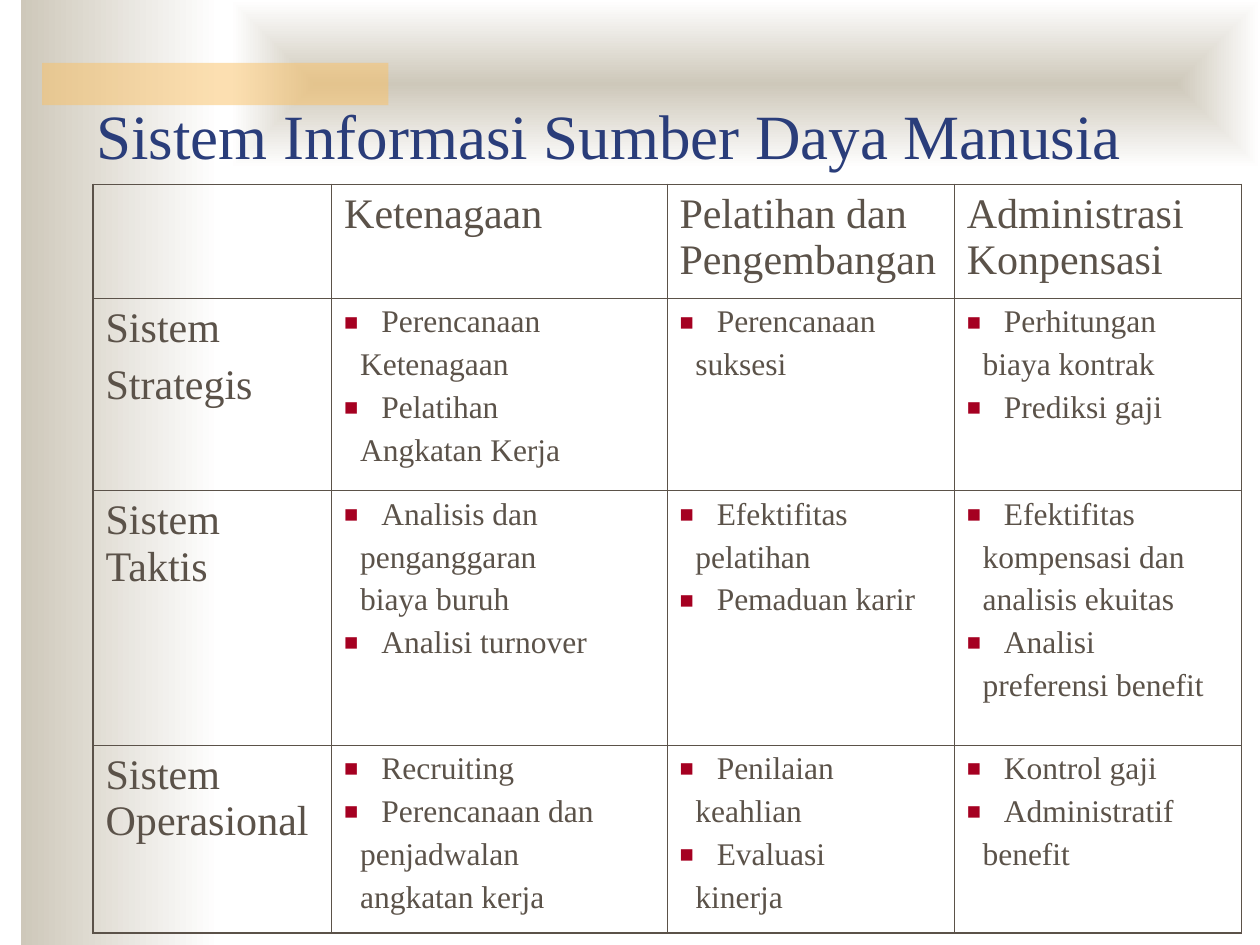
from lxml.etree import SubElement, fromstring
from pptx import Presentation
from pptx.dml.color import RGBColor
from pptx.enum.shapes import MSO_SHAPE
from pptx.enum.text import MSO_ANCHOR
from pptx.oxml.ns import nsdecls, qn
from pptx.util import Cm, Pt

FONT = "Times New Roman"
NAVY = RGBColor(0x2A, 0x3D, 0x7A)
BROWN = RGBColor(0x5B, 0x52, 0x49)
RED = RGBColor(0xA5, 0x00, 0x21)
SAND = RGBColor(0xCE, 0xC8, 0xBA)
WHITE = RGBColor(0xFF, 0xFF, 0xFF)
GOLD = RGBColor(0xFA, 0xC1, 0x64)

TITLE = "Sistem Informasi Sumber Daya Manusia"
HEADS = ["Ketenagaan", "Pelatihan dan Pengembangan", "Administrasi Konpensasi"]
ROWS = [
    (["Sistem", "Strategis"], [
        [["Perencanaan", "Ketenagaan"], ["Pelatihan", "Angkatan Kerja"]],
        [["Perencanaan", "suksesi"]],
        [["Perhitungan", "biaya kontrak"], ["Prediksi gaji"]],
    ]),
    (["Sistem Taktis"], [
        [["Analisis dan", "penganggaran", "biaya buruh"], ["Analisi turnover"]],
        [["Efektifitas", "pelatihan"], ["Pemaduan karir"]],
        [["Efektifitas", "kompensasi dan", "analisis ekuitas"],
         ["Analisi", "preferensi benefit"]],
    ]),
    (["Sistem Operasional"], [
        [["Recruiting"], ["Perencanaan dan", "penjadwalan", "angkatan kerja"]],
        [["Penilaian", "keahlian"], ["Evaluasi", "kinerja"]],
        [["Kontrol gaji"], ["Administratif", "benefit"]],
    ]),
]
WIDTHS = [4.81, 6.76, 5.79, 5.79]
HEIGHTS = [2.29, 3.88, 5.13, 3.75]
LINEAR = '<a:lin ang="0" scaled="0"/>'
CENTER = ('<a:path path="rect"><a:fillToRect l="50000" t="50000" '
          'r="50000" b="50000"/></a:path>')


def add_band(slide, box, color):
    band = slide.shapes.add_shape(MSO_SHAPE.RECTANGLE, *map(Cm, box))
    band.shadow.inherit = False
    band.line.fill.background()
    band.fill.solid()
    band.fill.fore_color.rgb = color
    return band


def fade(band, kind):
    old = band._element.spPr.find(qn("a:solidFill"))
    new = fromstring(
        f'<a:gradFill {nsdecls("a")} rotWithShape="1"><a:gsLst>'
        f'<a:gs pos="0"><a:srgbClr val="{SAND}"/></a:gs>'
        f'<a:gs pos="100000"><a:srgbClr val="{WHITE}"/></a:gs>'
        f'</a:gsLst>{kind}</a:gradFill>')
    old.getparent().replace(old, new)


def add_text(para, text, size, color):
    run = para.add_run()
    run.text = text
    run.font.name = FONT
    run.font.size = Pt(size)
    run.font.color.rgb = color


def next_para(frame, gap):
    if not frame.paragraphs[0].runs:
        return frame.paragraphs[0]
    para = frame.add_paragraph()
    para.space_before = Pt(gap)
    return para


def indent(para, bullet):
    props = para._p.get_or_add_pPr()
    left = Cm(0.75) if bullet else Cm(0.32)
    props.set("marL", str(left))
    props.set("indent", str(-left if bullet else 0))
    if bullet:
        color = SubElement(props, qn("a:buClr"))
        SubElement(color, qn("a:srgbClr"), val=str(RED))
        SubElement(props, qn("a:buSzPct"), val="75000")
        SubElement(props, qn("a:buFont"), typeface=FONT)
        SubElement(props, qn("a:buChar"), char="■")


def add_label(cell, lines):
    for line in lines:
        add_text(next_para(cell.text_frame, 6), line, 24, BROWN)


def add_items(cell, items):
    for item in items:
        for num, line in enumerate(item):
            para = next_para(cell.text_frame, 4.5)
            indent(para, num == 0)
            add_text(para, line, 18, BROWN)


def set_edges(cell, row, col):
    outer = [("L", col == 0), ("R", col == len(WIDTHS) - 1),
             ("T", row == 0), ("B", row == len(HEIGHTS) - 1)]
    props = cell._tc.get_or_add_tcPr()
    for num, (side, thick) in enumerate(outer):
        width = Pt(1.08 if thick else 0.45)
        props.insert(num, fromstring(
            f'<a:ln{side} {nsdecls("a")} w="{width}"><a:solidFill>'
            f'<a:srgbClr val="{BROWN}"/></a:solidFill></a:ln{side}>'))


def add_grid(slide):
    box = [1.88, 3.72, sum(WIDTHS), sum(HEIGHTS)]
    table = slide.shapes.add_table(
        len(HEIGHTS), len(WIDTHS), *map(Cm, box)).table
    table.first_row = table.horz_banding = False
    for col, width in zip(table.columns, WIDTHS):
        col.width = Cm(width)
    for row, height in zip(table.rows, HEIGHTS):
        row.height = Cm(height)
    for row in range(len(HEIGHTS)):
        for col in range(len(WIDTHS)):
            cell = table.cell(row, col)
            cell.margin_left = cell.margin_right = Cm(0.25)
            cell.margin_top = cell.margin_bottom = Cm(0.13)
            cell.fill.background()
            set_edges(cell, row, col)
    for col, head in enumerate(HEADS, 1):
        add_label(table.cell(0, col), [head])
    for row, (label, cells) in enumerate(ROWS, 1):
        add_label(table.cell(row, 0), label)
        for col, items in enumerate(cells, 1):
            add_items(table.cell(row, col), items)


def main():
    deck = Presentation()
    deck.slide_width, deck.slide_height = Cm(25.4), Cm(19.05)
    slide = deck.slides.add_slide(deck.slide_layouts[6])
    fade(add_band(slide, (0.42, 0, 4.02, 19.05), SAND), LINEAR)
    fade(add_band(slide, (4.66, 0, 20.74, 3.39), SAND), CENTER)
    bar = add_band(slide, (0.85, 1.27, 6.98, 0.85), GOLD)
    tint = bar._element.spPr.find(qn("a:solidFill"))[0]
    SubElement(tint, qn("a:alpha"), val="50000")
    title = slide.shapes.add_textbox(*map(Cm, (1.69, 0.42, 21.59, 3.18)))
    frame = title.text_frame
    frame.word_wrap = True
    frame.vertical_anchor = MSO_ANCHOR.BOTTOM
    add_text(frame.paragraphs[0], TITLE, 36, NAVY)
    add_grid(slide)
    deck.save("out.pptx")


if __name__ == "__main__":
    main()
